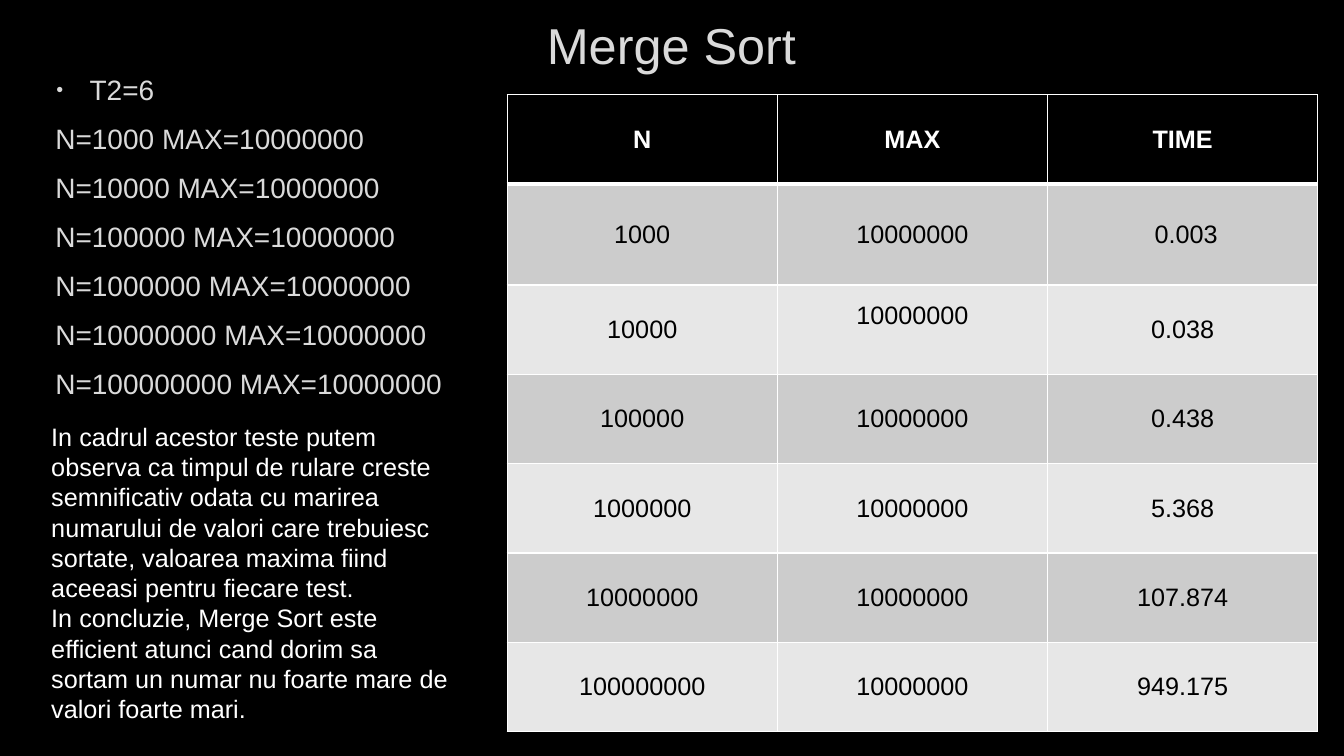
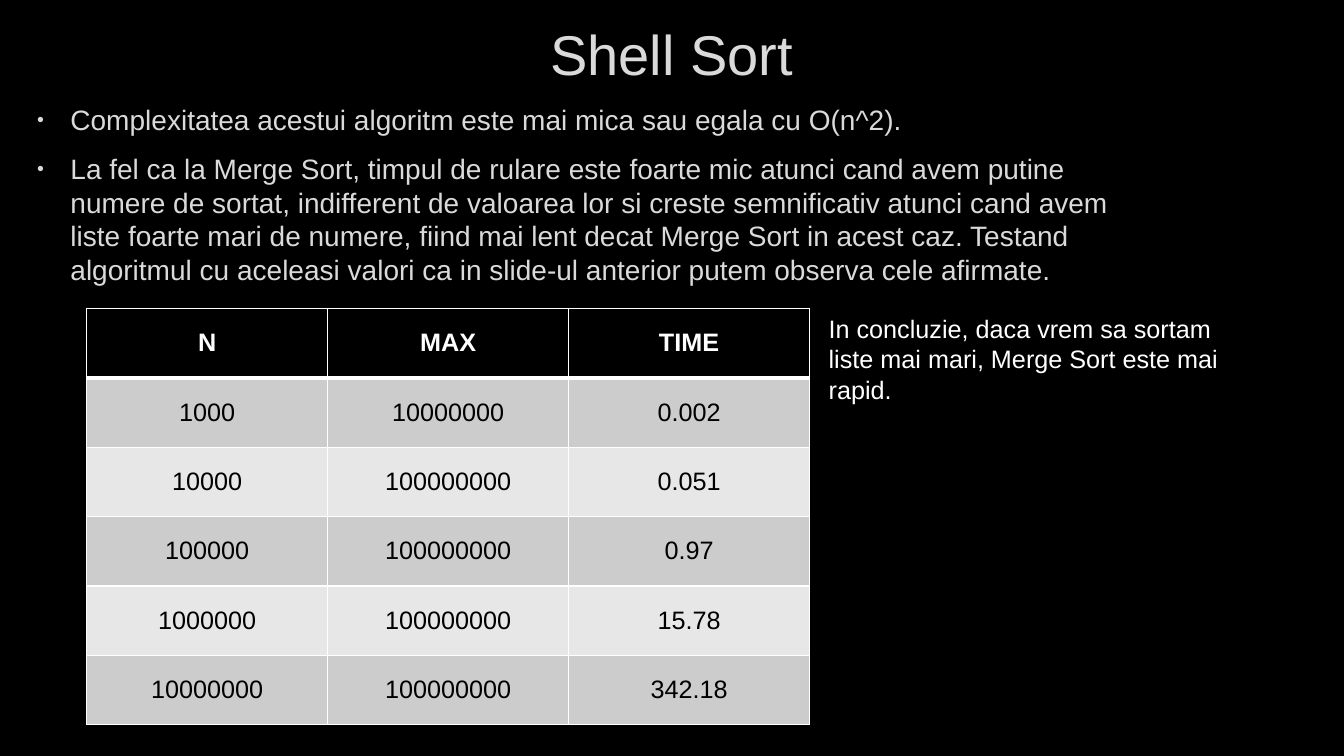
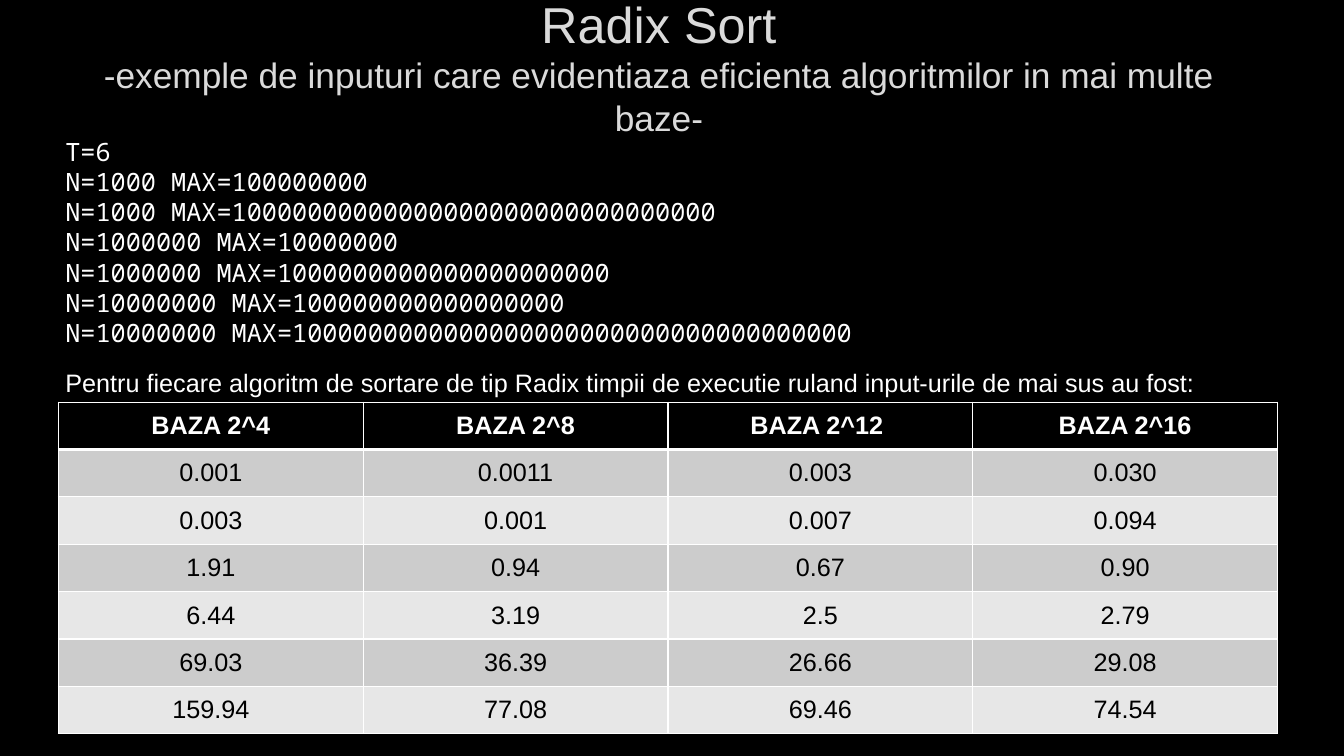
from dataclasses import dataclass

from lxml import etree
from pptx import Presentation
from pptx import util as u
from pptx.dml.color import RGBColor
from pptx.enum import text
from pptx.oxml import ns


@dataclass(frozen=True)
class Theme:
    background: str = "000000"
    heading: str = "DADADA"
    plain: str = "FFFFFF"
    cell_text: str = "000000"
    outline: str = "404040"
    header_fill: str = "000000"
    bands: tuple = ("CCCCCC", "E7E7E7")
    font: str = "Arial"
    mono: str = "Noto Sans Mono"
    title_size: float = 36
    big_title_size: float = 40
    subtitle_size: float = 25.2
    body_size: float = 20
    note_size: float = 18
    border: float = 1
    header_border: float = 3


THEME = Theme()
TITLE_ONLY = 5


# ---- Helpers -------------------------------------------------------------
def set_all(target, values):
    for name, value in values.items():
        setattr(target, name, value)


def place(shape, box):
    set_all(shape, dict(zip(("left", "top", "width", "height"), map(u.Inches, box))))


def add_xml(parent, tag, **attributes):
    return etree.SubElement(parent, ns.qn(tag), attributes)


def add_color(parent, color):
    return add_xml(add_xml(parent, "a:solidFill"), "a:srgbClr", val=color)


def style_run(run, size, color, font=THEME.font, bold=False, outlined=False):
    set_all(run.font, {"size": u.Pt(size), "name": font, "bold": bold})
    run.font.color.rgb = RGBColor.from_string(color)
    if outlined:
        properties = run.font._element
        line = add_xml(properties, "a:ln", w=str(u.Pt(0.75)))
        add_xml(add_color(line, THEME.outline), "a:alpha", val="10000")
        properties.insert(0, line)


# ---- Slide elements ------------------------------------------------------
def add_titled_slide(deck, box, lines):
    """lines: (wording, size) pairs, kept in one paragraph."""
    slide = deck.slides.add_slide(deck.slide_layouts[TITLE_ONLY])
    title = slide.shapes.title
    place(title, box)
    set_all(title.text_frame, {"word_wrap": True,
                               "auto_size": text.MSO_AUTO_SIZE.NONE,
                               "vertical_anchor": text.MSO_ANCHOR.MIDDLE})
    paragraph = title.text_frame.paragraphs[0]
    paragraph.text = "\n".join(wording for wording, _ in lines)
    paragraph.alignment = text.PP_ALIGN.CENTER
    for run, (_, size) in zip(paragraph.runs, lines):
        style_run(run, size, THEME.heading, outlined=True)
    return slide


def add_paragraphs(slide, box, wordings, auto_size, **run_style):
    frame = slide.shapes.add_textbox(*map(u.Inches, box)).text_frame
    set_all(frame, {"word_wrap": True, "auto_size": auto_size})
    for index, wording in enumerate(wordings):
        paragraph = frame.add_paragraph() if index else frame.paragraphs[0]
        paragraph.text = wording
        for run in paragraph.runs:
            style_run(run, **run_style)
    return frame.paragraphs


def add_note(slide, box, *wordings, font=THEME.font):
    add_paragraphs(slide, box, wordings, text.MSO_AUTO_SIZE.SHAPE_TO_FIT_TEXT,
                   size=THEME.note_size, color=THEME.plain, font=font)


def add_body(slide, box, wordings, bullets):
    """The first paragraphs, as many as bullets says, get a bullet."""
    paragraphs = add_paragraphs(slide, box, wordings, text.MSO_AUTO_SIZE.NONE,
                                size=THEME.body_size, color=THEME.heading, outlined=True)
    for index, paragraph in enumerate(paragraphs):
        set_all(paragraph, {"space_before": u.Pt(5), "space_after": u.Pt(6)})
        bulleted = index < bullets
        margin, indent = (0.38, -0.33) if bulleted else (0.04, 0)
        properties = paragraph._p.get_or_add_pPr()
        properties.set("marL", str(u.Inches(margin)))
        properties.set("indent", str(u.Inches(indent)))
        if bulleted:
            add_xml(add_xml(properties, "a:buClr"), "a:srgbClr", val=THEME.heading)
            add_xml(properties, "a:buSzPct", val="70000")
            add_xml(properties, "a:buFont", typeface=THEME.font)
            add_xml(properties, "a:buChar", char="•")


def style_cell(cell, row):
    header = row == 0
    widths = {"L": THEME.border, "R": THEME.border,
              "T": THEME.header_border if row == 1 else THEME.border,
              "B": THEME.header_border if header else THEME.border}
    properties = cell._tc.get_or_add_tcPr()
    for side, width in widths.items():
        add_color(add_xml(properties, f"a:ln{side}", w=str(u.Pt(width))), THEME.plain)
    fill = THEME.header_fill if header else THEME.bands[(row - 1) % 2]
    cell.fill.solid()
    cell.fill.fore_color.rgb = RGBColor.from_string(fill)
    cell.vertical_anchor = text.MSO_ANCHOR.MIDDLE
    paragraph = cell.text_frame.paragraphs[0]
    paragraph.alignment = text.PP_ALIGN.CENTER
    for run in paragraph.runs:
        style_run(run, THEME.note_size, THEME.plain if header else THEME.cell_text, bold=header)


def add_timings(slide, box, records, tall_rows=None):
    """Rows share the height left over by tall_rows, a dict of row to inches."""
    tall_rows = tall_rows or {}
    _, _, width, height = box
    row_count, column_count = len(records), len(records[0])
    timings = slide.shapes.add_table(row_count, column_count, *map(u.Inches, box)).table
    timings.horz_banding = False
    even_height = (height - sum(tall_rows.values())) / (row_count - len(tall_rows))
    for column in timings.columns:
        column.width = u.Inches(width / column_count)
    for row, record in enumerate(records):
        timings.rows[row].height = u.Inches(tall_rows.get(row, even_height))
        for column, value in enumerate(record):
            cell = timings.cell(row, column)
            cell.text = value
            style_cell(cell, row)
    return timings


# ---- Slides --------------------------------------------------------------
HEADINGS = ("N", "MAX", "TIME")


def merge_sort(deck):
    slide = add_titled_slide(deck, (3.43, 0.21, 6.46, 0.46), [("Merge Sort", THEME.title_size)])
    limit = "10000000"
    times = (" 0.003", "0.038", "0.438", "5.368", "107.874", "949.175")
    records = [(str(10 ** power), limit, time) for power, time in enumerate(times, start=3)]
    add_body(slide, (0.41, 0.67, 4.35, 3.84),
             ["T2=6"] + [f"N={count} MAX={limit}" for count, _, _ in records], bullets=1)
    add_note(slide, (0.41, 4.13, 4.15, 3.13),
             "In cadrul acestor teste putem observa ca timpul de rulare creste semnificativ "
             "odata cu marirea numarului de valori care trebuiesc sortate, valoarea maxima "
             "fiind aceeasi pentru fiecare test.",
             "In concluzie, Merge Sort este efficient atunci cand dorim sa sortam un numar "
             "nu foarte mare de valori foarte mari.")
    timings = add_timings(slide, (5.03, 0.94, 8.04, 6.32), [HEADINGS, *records], {1: 1.0})
    # This value sits above the middle of its cell
    timings.cell(2, 1).margin_bottom = u.Inches(0.33)


def shell_sort(deck):
    slide = add_titled_slide(deck, (1, 0, 11.32, 1.06), [("Shell Sort", THEME.big_title_size)])
    add_body(slide, (0.22, 0.97, 11.32, 4.44), [
        "Complexitatea acestui algoritm este mai mica sau egala cu O(n^2).",
        "La fel ca la Merge Sort, timpul de rulare este foarte mic atunci cand avem putine "
        "numere de sortat, indifferent de valoarea lor si creste semnificativ atunci cand "
        "avem liste foarte mari de numere, fiind mai lent decat Merge Sort in acest caz. "
        "Testand algoritmul cu aceleasi valori ca in slide-ul anterior putem observa cele "
        "afirmate."], bullets=2)
    add_timings(slide, (0.86, 3.06, 7.17, 4.13), [
        HEADINGS,
        ("1000", "10000000", "0.002"),
        ("10000", "100000000", "0.051"),
        ("100000", "100000000", "0.97"),
        ("1000000", "100000000", "15.78"),
        ("10000000", "100000000", "342.18")])
    add_note(slide, (8.12, 3.06, 4.35, 1.01),
             "In concluzie, daca vrem sa sortam liste mai mari, Merge Sort este mai rapid.")


def radix_sort(deck):
    slide = add_titled_slide(deck, (0.55, 0.12, 11.97, 1.06), [
        ("Radix Sort", THEME.title_size),
        ("-exemple de inputuri care evidentiaza eficienta algoritmilor in mai multe baze-",
         THEME.subtitle_size)])
    inputs = ("T=6",
              "N=1000 MAX=100000000",
              "N=1000 MAX=10000000000000000000000000000000",
              "N=1000000 MAX=10000000",
              "N=1000000 MAX=1000000000000000000000",
              "N=10000000 MAX=100000000000000000",
              "N=10000000 MAX=1000000000000000000000000000000000000")
    add_note(slide, (0.55, 1.3, 8.6, 2.52), "\n".join(inputs), font=THEME.mono)
    add_note(slide, (0.55, 3.59, 12.12, 0.4),
             "Pentru fiecare algoritm de sortare de tip Radix timpii de executie ruland "
             "input-urile de mai sus au fost:")
    add_timings(slide, (0.58, 3.99, 12.09, 3.29), [
        ("BAZA 2^4", "BAZA 2^8", "BAZA 2^12 ", "BAZA 2^16"),
        ("0.001", "0.0011", "0.003", "0.030"),
        ("0.003", "0.001", "0.007", "0.094"),
        ("1.91", "0.94", "0.67", "0.90"),
        ("6.44", "3.19", "2.5", "2.79"),
        ("69.03", "36.39", "26.66", "29.08"),
        ("159.94", "77.08", "69.46", "74.54")])


def main():
    deck = Presentation()
    set_all(deck, {"slide_width": u.Inches(13.33), "slide_height": u.Inches(7.5)})
    backdrop = deck.slide_master.background.fill
    backdrop.solid()
    backdrop.fore_color.rgb = RGBColor.from_string(THEME.background)
    for build in (merge_sort, shell_sort, radix_sort):
        build(deck)
    deck.save("out.pptx")


if __name__ == "__main__":
    main()
